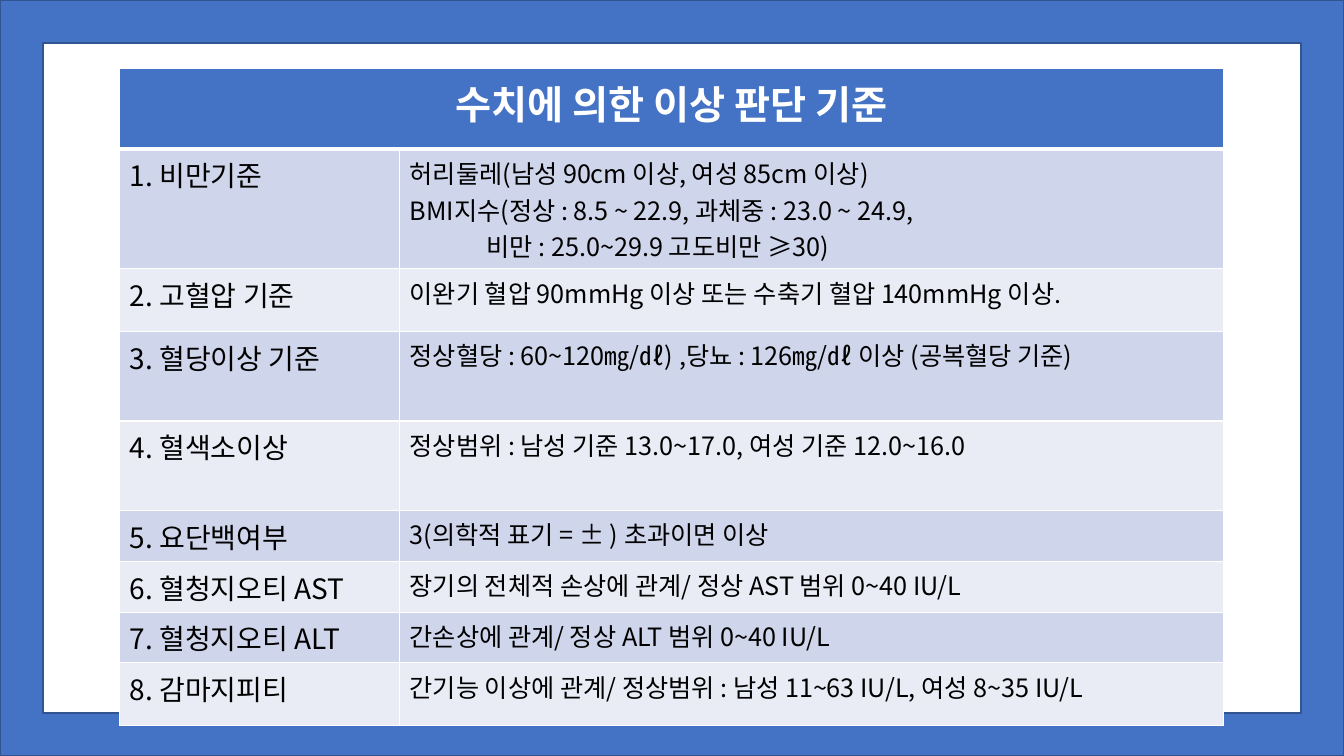
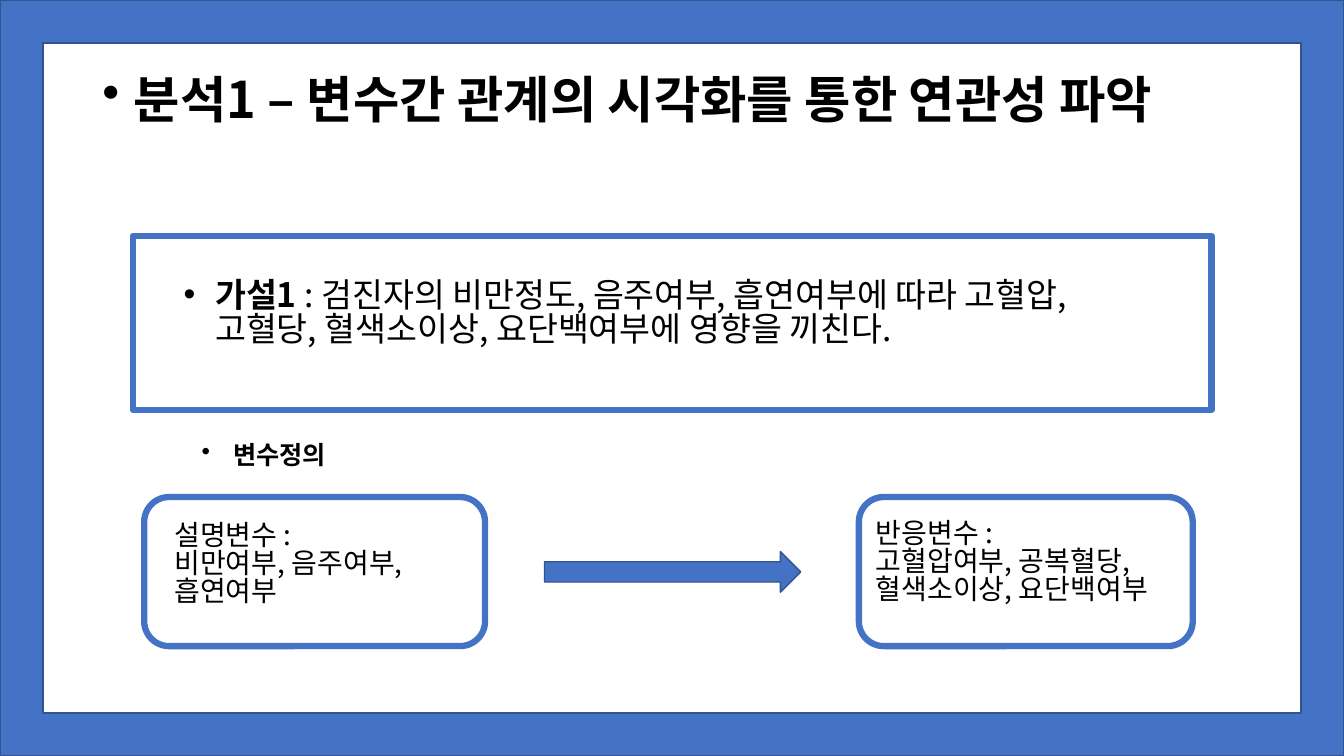
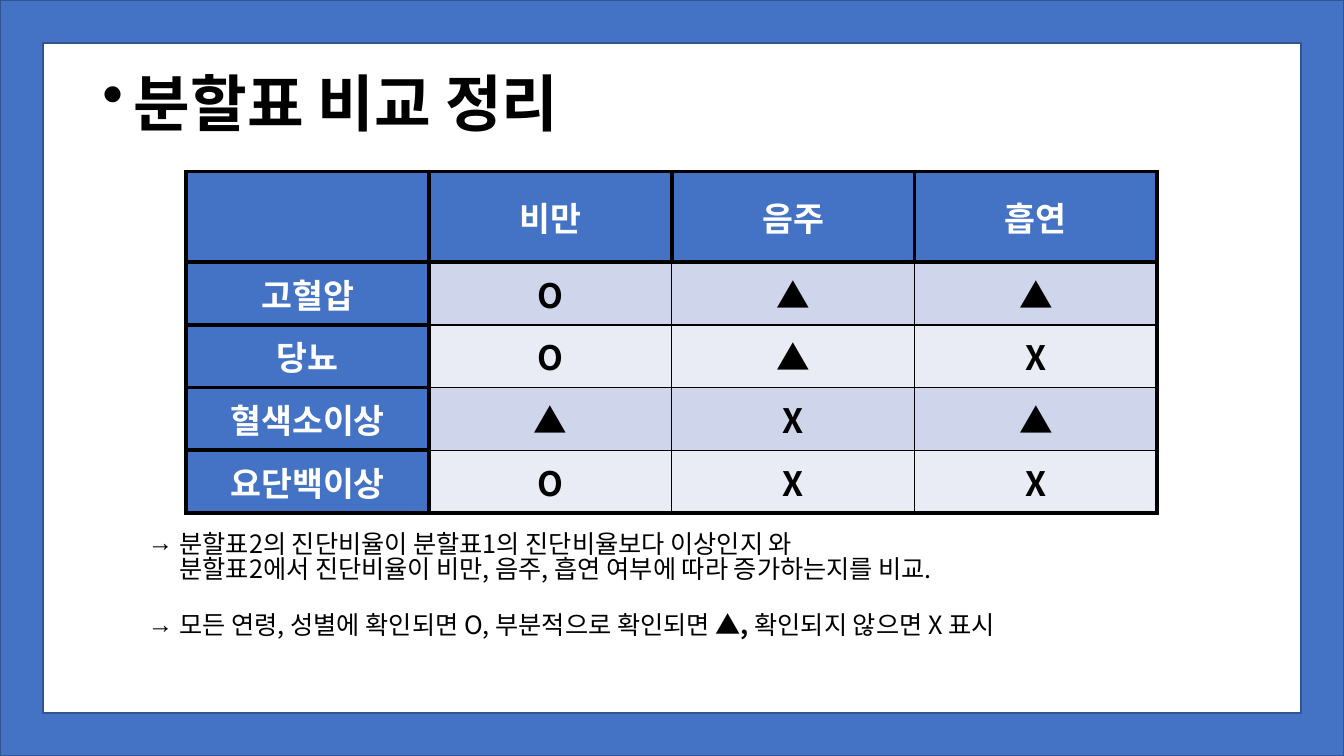
from lxml import etree
from pptx import Presentation
from pptx.dml.color import RGBColor
from pptx.enum import shapes, text
from pptx.oxml import ns
from pptx.util import Pt

SHAPE = shapes.MSO_SHAPE
ALIGN = text.PP_ALIGN
ANCHOR = text.MSO_ANCHOR


def rgb(value):
    return RGBColor.from_string(value)


class Deck:
    font = "Noto Sans CJK KR"
    blue, navy = "4472C4", "325491"
    black, white = "000000", "FFFFFF"
    bands = ("CFD5EA", "E9EBF5")
    indent = 22.5
    spacing = 0.84

    def __init__(self):
        self.prs = Presentation()
        self.prs.slide_width, self.prs.slide_height = Pt(960), Pt(540)
        self.s = None

    def slide(self, layout):
        self.s = self.prs.slides.add_slide(self.prs.slide_layouts[layout])
        frame = self.shape(SHAPE.FRAME, (0, 0, 960, 540), fill=self.blue, line=self.navy)
        frame.adjustments[0] = 0.06 * 0.95

    def shape(self, kind, box, fill=None, line=None, width=1):
        sp = self.s.shapes.add_shape(kind, *map(Pt, box))
        sp.shadow.inherit = False
        if fill:
            sp.fill.solid()
            sp.fill.fore_color.rgb = rgb(fill)
        else:
            sp.fill.background()
        sp.line.color.rgb = rgb(line)
        sp.line.width = Pt(width)
        return sp

    def style(self, p, size, color, bold=False, align=ALIGN.LEFT):
        p.alignment = align
        f = p.font
        f.name, f.size, f.bold = self.font, Pt(size), bold
        f.color.rgb = rgb(color)
        latin = p._p.pPr.find(ns.qn("a:defRPr")).find(ns.qn("a:latin"))
        latin.addnext(etree.Element(ns.qn("a:ea"), typeface=self.font))

    def bullet(self, p, char):
        pPr = p._p.get_or_add_pPr()
        pPr.set("marL", str(Pt(self.indent)))
        pPr.set("indent", str(-Pt(self.indent)))
        mark = etree.Element(ns.qn("a:buChar"), char=char)
        pPr.find(ns.qn("a:defRPr")).addprevious(mark)

    def put_text(self, sp, box, paragraphs, size, bold=False, char=None, gap=0):
        sp.left, sp.top, sp.width, sp.height = map(Pt, box)
        tf = sp.text_frame
        tf.word_wrap = True
        tf.auto_size = text.MSO_AUTO_SIZE.NONE
        tf.vertical_anchor = ANCHOR.TOP
        for i, content in enumerate(paragraphs):
            p = tf.paragraphs[0] if i == 0 else tf.add_paragraph()
            if isinstance(content, str):
                p.text = content
            else:
                for words, heavy in content:
                    r = p.add_run()
                    r.text = words
                    r.font.bold = heavy
            p.line_spacing = self.spacing
            p.space_before = Pt(gap if i else 0)
            p.space_after = Pt(0)
            self.style(p, size, self.black, bold)
            if char:
                self.bullet(p, char)

    def title(self, box, words, size):
        self.put_text(self.s.shapes.title, box, [words], size, bold=True, char="•")

    def body(self, box, paragraphs, size, char, gap=0):
        self.put_text(self.s.placeholders[1], box, paragraphs, size, char=char, gap=gap)

    def textbox(self, box, words, size, **options):
        sp = self.s.shapes.add_textbox(*map(Pt, box))
        self.put_text(sp, box, [words], size, **options)

    def table(self, left, top, cols, rows):
        sp = self.s.shapes.add_table(
            len(rows), len(cols), Pt(left), Pt(top), Pt(sum(cols)), Pt(sum(rows)))
        for col, width in zip(sp.table.columns, cols):
            col.width = Pt(width)
        for row, height in zip(sp.table.rows, rows):
            row.height = Pt(height)
        sp.table.horz_banding = False
        return sp.table

    def cell(self, cell, words, size, fill, color, line, edges,
             bold=False, align=ALIGN.LEFT, anchor=ANCHOR.TOP):
        cell.fill.solid()
        cell.fill.fore_color.rgb = rgb(fill)
        cell.vertical_anchor = anchor
        if words:
            cell.text = words
            for p in cell.text_frame.paragraphs:
                self.style(p, size, color, bold, align)
        tcPr = cell._tc.get_or_add_tcPr()
        for i, (side, width) in enumerate(zip("LRTB", edges)):
            ln = etree.Element(ns.qn("a:ln" + side), w=str(Pt(width)))
            solid = etree.SubElement(ln, ns.qn("a:solidFill"))
            etree.SubElement(solid, ns.qn("a:srgbClr"), val=line)
            tcPr.insert(i, ln)


def criteria_slide(d):
    d.slide(6)
    criteria = [
        ("1. 비만기준",
         "허리둘레(남성 90cm 이상, 여성 85cm 이상)\n"
         "BMI지수(정상 : 8.5 ~ 22.9, 과체중 : 23.0 ~ 24.9,\n"
         "비만 : 25.0~29.9 고도비만 ≥30)"),
        ("2. 고혈압 기준", "이완기 혈압 90mmHg 이상 또는 수축기 혈압 140mmHg 이상."),
        ("3. 혈당이상 기준", "정상혈당 : 60~120㎎/㎗) ,당뇨 : 126㎎/㎗ 이상 (공복혈당 기준)"),
        ("4. 혈색소이상", "정상범위 : 남성 기준 13.0~17.0, 여성 기준 12.0~16.0"),
        ("5. 요단백여부", "3(의학적 표기 = ± ) 초과이면 이상"),
        ("6. 혈청지오티 AST", "장기의 전체적 손상에 관계/ 정상 AST 범위 0~40 IU/L"),
        ("7. 혈청지오티 ALT", "간손상에 관계/ 정상 ALT 범위 0~40 IU/L"),
        ("8. 감마지피티", "간기능 이상에 관계/ 정상범위 : 남성 11~63 IU/L, 여성 8~35 IU/L"),
    ]
    heights = [57.6, 64, 44.8, 64, 64, 26, 26, 26, 44.8]
    t = d.table(85.5, 49, [200, 588.5], heights)
    t.cell(0, 0).merge(t.cell(0, 1))
    for c, words in enumerate(("수치에 의한 이상 판단 기준", "")):
        d.cell(t.cell(0, c), words, 28, d.blue, d.white, d.white, (1, 1, 1, 3),
               bold=True, align=ALIGN.CENTER)
    for r, row in enumerate(criteria, 1):
        for c, (words, size) in enumerate(zip(row, (20, 18))):
            d.cell(t.cell(r, c), words, size, d.bands[(r - 1) % 2], d.black, d.white,
                   (1, 1, 3 if r == 1 else 1, 1))
    obesity = t.cell(1, 1).text_frame.paragraphs[2]
    obesity._p.get_or_add_pPr().set("marL", str(Pt(55)))


def hypothesis_slide(d):
    d.slide(1)
    d.title((66, 52, 770, 94), "분석1 – 변수간 관계의 시각화를 통한 연관성 파악", 36)
    hypothesis = [
        ("가설1 ", True),
        (": 검진자의 비만정도, 음주여부, 흡연여부에 따라 고혈압, 고혈당, "
         "혈색소이상, 요단백여부에 영향을 끼친다.", False),
    ]
    d.body((124, 196.5, 712, 65.5), [hypothesis], 24, "•")
    d.shape(SHAPE.RECTANGLE, (95, 168.5, 770.5, 124.5), line=d.blue, width=4.5)
    variables = [
        ((117.5, 370, 200, 80), "설명변수 :\v비만여부, 음주여부, 흡연여부", 103, 243.5),
        ((618.5, 368.5, 232.5, 80),
         "반응변수 :\v고혈압여부, 공복혈당, 혈색소이상, 요단백여부", 613.5, 238.5),
    ]
    for box, words, left, width in variables:
        d.textbox(box, words, 20)
        d.shape(SHAPE.ROUNDED_RECTANGLE, (left, 355, width, 106.5), line=d.blue, width=4.5)
    d.shape(SHAPE.RIGHT_ARROW, (389, 394, 183, 29), fill=d.blue, line=d.navy)
    d.textbox((137, 314, 150, 29), "변수정의", 18, bold=True, char="•")


def comparison_slide(d):
    d.slide(1)
    d.title((66, 51, 541, 60.5), "분할표 비교 정리", 44)
    grid = [
        ("", "비만", "음주", "흡연"),
        ("고혈압", "O", "▲", "▲"),
        ("당뇨", "O", "▲", "X"),
        ("혈색소이상", "▲", "X", "▲"),
        ("요단백이상", "O", "X", "X"),
    ]
    t = d.table(133, 122.5, [173.4] * 4, [64.8] + [44.8] * 4)
    for r, row in enumerate(grid):
        for c, words in enumerate(row):
            head = r == 0 or c == 0
            thick = (head or c == 1, head or c == 3, head or r == 1, head or r == 4)
            d.cell(t.cell(r, c), words, 24,
                   d.blue if head else d.bands[(r - 1) % 2],
                   d.white if head else d.black,
                   d.black, [3 if heavy else 1 for heavy in thick],
                   bold=True, align=ALIGN.CENTER, anchor=ANCHOR.MIDDLE)
    notes = [
        "분할표2의 진단비율이 분할표1의 진단비율보다 이상인지 와\v"
        "분할표2에서 진단비율이 비만, 음주, 흡연 여부에 따라 증가하는지를 비교.",
        [("모든 연령, 성별에 확인되면 O, 부분적으로 확인되면 ", False),
         ("▲, ", True),
         ("확인되지 않으면 X 표시", False)],
    ]
    d.body((98.5, 377, 763, 94.5), notes, 18, "→", gap=22)


def main():
    d = Deck()
    criteria_slide(d)
    hypothesis_slide(d)
    comparison_slide(d)
    d.prs.save("out.pptx")


if __name__ == "__main__":
    main()
